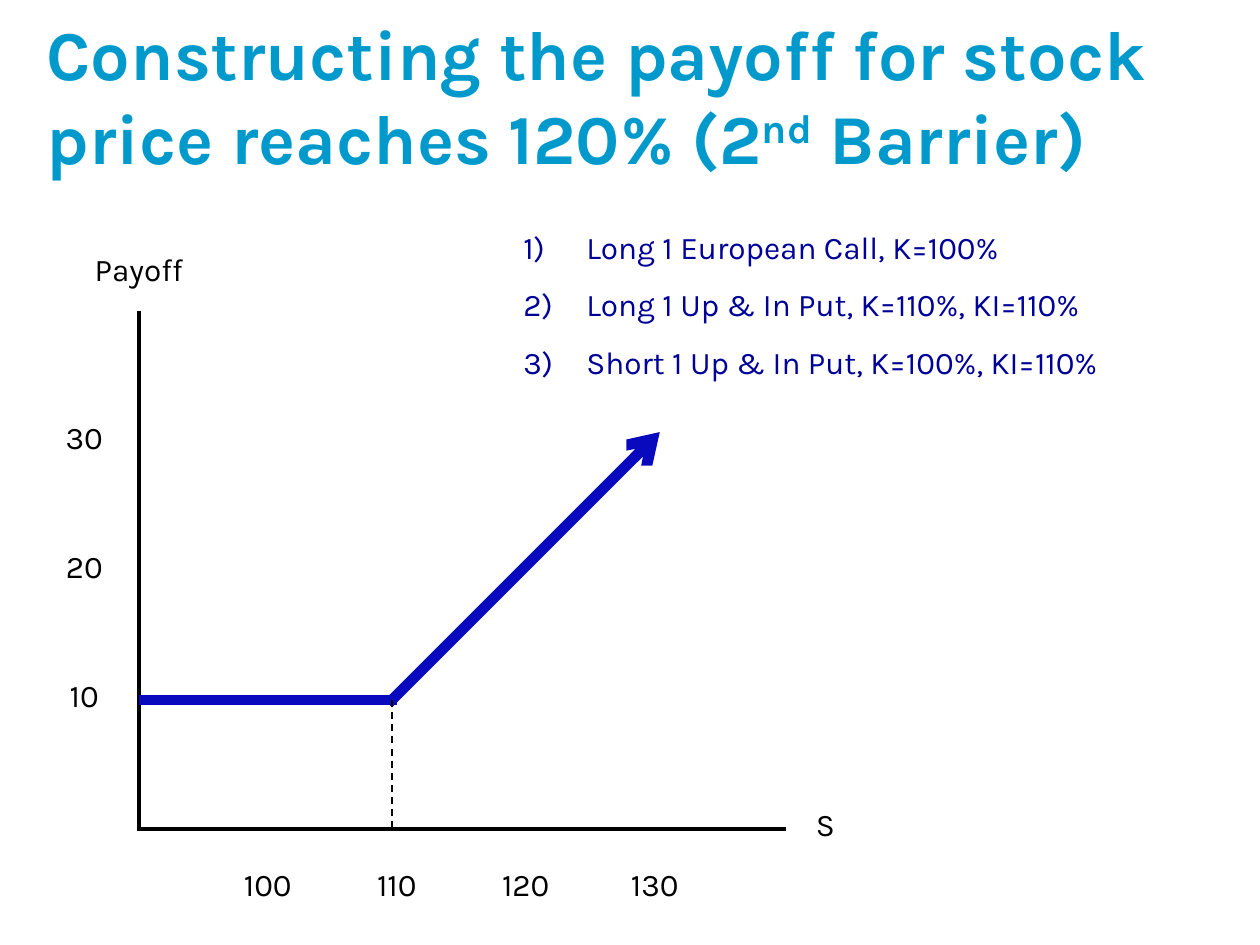
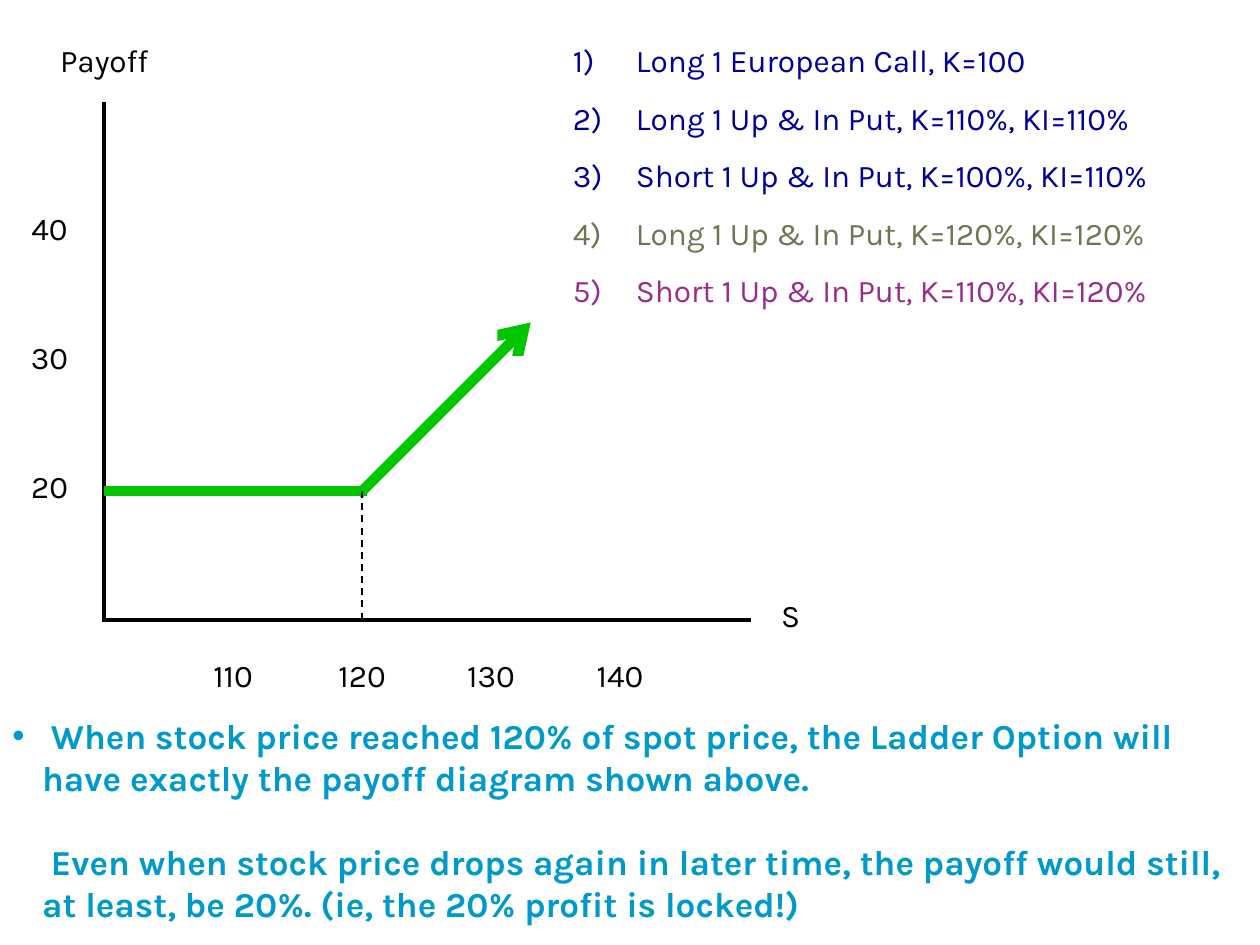
from lxml.etree import SubElement
from pptx import Presentation
from pptx.dml.color import RGBColor
from pptx.enum.dml import MSO_LINE
from pptx.enum.shapes import MSO_CONNECTOR
from pptx.enum.text import MSO_ANCHOR as Anchor, MSO_AUTO_SIZE as AutoSize, PP_ALIGN as Align
from pptx.oxml.ns import qn
from pptx.util import Cm, Pt

FONT = "Karla"
COLORS = {
    "black": "000000",
    "heading": "0099CC",
    "first_barrier": "000099",
    "long_put": "717353",
    "short_put": "992D8A",
    "blue_payoff": "0909BD",
    "green_payoff": "00C600",
}
STEP = 2.6  # one axis interval, in cm
AXIS_HEIGHT, AXIS_WIDTH = 10.4, 13
LABEL_HEIGHT = 1.02


def rgb(name):
    return RGBColor.from_string(COLORS[name])


def add_bullet(paragraph, mark, color, indent):
    """Hang the paragraph; mark is "1)" for numbers, a character, or None."""
    properties = paragraph._p.get_or_add_pPr()
    properties.set("marL", str(Cm(indent)))
    properties.set("indent", str(-Cm(indent) if mark else 0))
    if not mark:
        SubElement(properties, qn("a:buNone"))
        return
    bullet_color = SubElement(properties, qn("a:buClr"))
    SubElement(bullet_color, qn("a:srgbClr"), val=COLORS[color])
    if mark == "1)":
        SubElement(properties, qn("a:buFont"), typeface=FONT)
        SubElement(properties, qn("a:buAutoNum"), type="arabicParenR")
    else:
        SubElement(properties, qn("a:buFont"), typeface="Arial")
        SubElement(properties, qn("a:buChar"), char=mark)


def add_text(slide, lines, left, top, width, height=LABEL_HEIGHT, *, size=18,
             color="black", colors=None, bold=False, align=Align.LEFT,
             anchor=Anchor.TOP, grow=True, marks=None, indent=0, gap=0):
    """Write one paragraph per line; text between ^ signs is superscript."""
    shape = slide.shapes.add_textbox(Cm(left), Cm(top), Cm(width), Cm(height))
    frame = shape.text_frame
    frame.word_wrap = True
    frame.vertical_anchor = anchor
    frame.auto_size = AutoSize.SHAPE_TO_FIT_TEXT if grow else AutoSize.NONE
    for index, line in enumerate(lines):
        paragraph = frame.add_paragraph() if index else frame.paragraphs[0]
        line_color = colors[index] if colors else color
        if marks:
            add_bullet(paragraph, marks[index], line_color, indent)
        paragraph.alignment = align
        if index:
            paragraph.space_before = Pt(gap)
        for position, part in enumerate(line.split("^")):
            run = paragraph.add_run()
            run.text = part
            run.font.name, run.font.size, run.font.bold = FONT, Pt(size), bold
            run.font.color.rgb = rgb(line_color)
            if position % 2:
                run._r.get_or_add_rPr().set("baseline", "30000")


def add_line(slide, start, end, color="black", width=2.25, dashed=False, arrow=False):
    points = [Cm(value) for value in (*start, *end)]
    connector = slide.shapes.add_connector(MSO_CONNECTOR.STRAIGHT, *points)
    connector.line.color.rgb = rgb(color)
    connector.line.width = Pt(width)
    properties = connector._element.spPr
    outline = properties.find(qn("a:ln"))
    if dashed:
        connector.line.dash_style = MSO_LINE.DASH
    else:
        outline.set("cap", "sq")
    if arrow:
        SubElement(outline, qn("a:tailEnd"), type="arrow")
    SubElement(properties, qn("a:effectLst"))


def add_label(slide, text, center, top, width):
    add_text(slide, [text], center - width / 2, top, width, align=Align.CENTER)


def add_payoff_diagram(slide, left, base, prices, payoffs, kink, rise, color):
    """Draw axes at (left, base) and a payoff that turns up after kink cm."""
    top, right = base - AXIS_HEIGHT, left + AXIS_WIDTH
    add_line(slide, (left, top), (left, base))
    add_line(slide, (left, base), (right, base))
    add_label(slide, "Payoff", left, top - 1.4, 2.4)
    add_text(slide, ["S"], right + 0.4, base - 0.6, 1.8)
    for step, price in enumerate(prices, start=1):
        add_label(slide, str(price), left + step * STEP, base + 0.6, 1.6)
    for step, payoff in enumerate(payoffs, start=1):
        label_top = base - step * STEP - 0.1 - LABEL_HEIGHT / 2
        add_label(slide, str(payoff), left - 1.1, label_top, 1.4)

    turn_x, turn_y = left + kink, base - STEP
    add_line(slide, (left + 0.1, turn_y), (turn_x, turn_y), color, 6)
    add_line(slide, (turn_x, turn_y), (turn_x + rise, turn_y - rise), color, 6, arrow=True)
    add_line(slide, (turn_x, turn_y), (turn_x, base), width=1, dashed=True)


def add_positions(slide, positions, colors, left, top):
    count = len(positions)
    add_text(slide, positions, left, top, 25.4 - left, 1.16 * count + 0.1,
             colors=colors, marks=["1)"] * count, indent=1.27, gap=11.2)


def add_heading(slide, lines, left, top, width, size, **text_format):
    add_text(slide, lines, left, top, width, 2.41, size=size, color="heading",
             bold=True, anchor=Anchor.MIDDLE, grow=False, **text_format)


def main():
    presentation = Presentation()
    presentation.slide_width, presentation.slide_height = Cm(25.4), Cm(19.05)
    blank = presentation.slide_layouts[6]
    barrier_puts = ["Long 1 Up & In Put, K=110%, KI=110%",
                    "Short 1 Up & In Put, K=100%, KI=110%"]
    barrier_colors = ["first_barrier"] * 3

    slide = presentation.slides.add_slide(blank)
    add_payoff_diagram(slide, 2.8, 16.71, range(100, 140, 10), range(10, 40, 10),
                       kink=5.1, rise=5.4, color="blue_payoff")
    add_heading(slide, ["Constructing the payoff for stock price reaches 120% (2^nd^ Barrier)"],
                0.69, 0.71, 24, 40)
    add_positions(slide, ["Long 1 European Call, K=100%", *barrier_puts],
                  barrier_colors, 10.3, 4.47)

    slide = presentation.slides.add_slide(blank)
    add_payoff_diagram(slide, 2.1, 12.5, range(110, 150, 10), range(20, 50, 10),
                       kink=5.2, rise=3.4, color="green_payoff")
    add_positions(slide, ["Long 1 European Call, K=100", *barrier_puts,
                          "Long 1 Up & In Put, K=120%, KI=120%",
                          "Short 1 Up & In Put, K=110%, KI=120%"],
                  [*barrier_colors, "long_put", "short_put"], 11.3, 0.71)
    add_heading(slide, [
        " When stock price reached 120% of spot price, the Ladder Option will "
        "have exactly the payoff diagram shown above.",
        " Even when stock price drops again in later time, the payoff would still, "
        "at least, be 20%. (ie, the 20% profit is locked!)",
    ], 0, 15.32, 25.4, 20, marks=["•", None], indent=0.6, gap=24)

    presentation.save("out.pptx")


if __name__ == "__main__":
    main()
